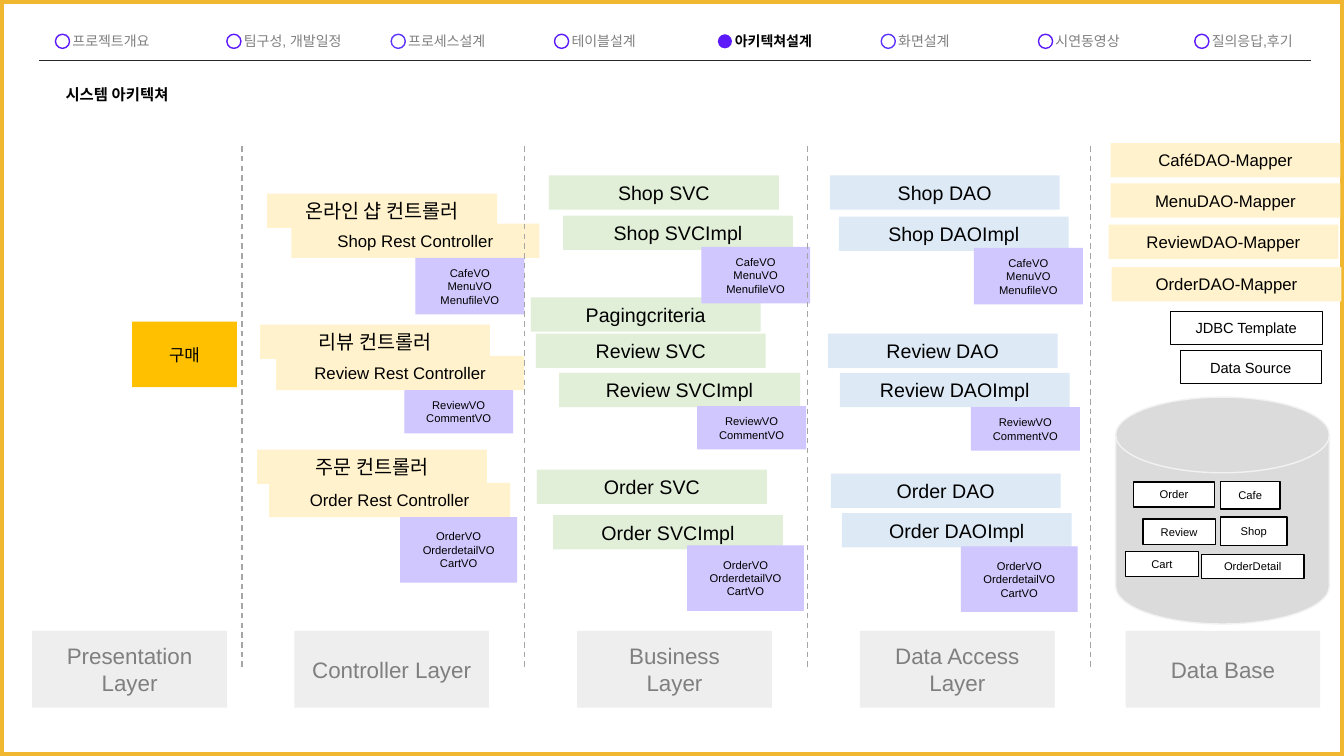
from dataclasses import dataclass
from typing import NamedTuple

from lxml import etree
from pptx import Presentation
from pptx.dml.color import RGBColor
from pptx.enum import dml, shapes, text
from pptx.oxml.ns import qn
from pptx.util import Inches, Pt


@dataclass(frozen=True)
class Theme:
    font: str = "Arial"
    black: str = "000000"
    white: str = "FFFFFF"
    gray: str = "7F7F7F"
    rule: str = "25282A"
    dash: str = "A5A5A5"
    frame: str = "F1B731"
    violet: str = "5C19FA"
    indigo: str = "5C34FA"
    amber: str = "FFC000"
    cream: str = "FFF2CC"
    green: str = "E1EFD8"
    blue: str = "DDEAF6"
    lilac: str = "CFC7FD"
    caption: str = "EEEEEE"
    disk: str = "DBDBDB"
    disk_edge: str = "F2F2F2"
    caption_size: float = 16
    card_size: float = 14
    small_card_size: float = 12
    title_size: float = 11
    source_size: float = 10.5
    nav_size: float = 10
    tiny_size: float = 8


class Box(NamedTuple):
    x: float
    y: float
    w: float
    h: float

    def inner(self, dx, dy, w, h):
        return Box(self.x + dx, self.y + dy, w, h)

    def emu(self):
        return [Inches(v) for v in self]


T = Theme()
SHAPE = shapes.MSO_SHAPE
CARD_W, CARD_H = 2.28, 0.34

# Value objects of each domain: width, height, class names
VALUE_OBJECTS = {
    "shop": (1.08, 0.56, "CafeVO\nMenuVO\nMenufileVO"),
    "review": (1.08, 0.43, "ReviewVO\nCommentVO"),
    "order": (1.16, 0.65, "OrderVO\nOrderdetailVO\nCartVO"),
}


def rgb(color):
    return RGBColor.from_string(color)


def write(tf, words, size, color, bold=False, align=text.PP_ALIGN.LEFT):
    tf.text = words
    tf.word_wrap = True
    for p in tf.paragraphs:
        p.alignment = align
        for r in p.runs:
            r.font.name, r.font.size, r.font.bold = T.font, Pt(size), bold
            r.font.color.rgb = rgb(color)


def add_box(s, box, words="", fill=None, size=T.card_size, color=T.black,
            line=None, line_width=1, kind=SHAPE.RECTANGLE):
    sp = s.shapes.add_shape(kind, *box.emu())
    sp.shadow.inherit = False
    if fill:
        sp.fill.solid()
        sp.fill.fore_color.rgb = rgb(fill)
    else:
        sp.fill.background()
    if line:
        sp.line.color.rgb = rgb(line)
        sp.line.width = Pt(line_width)
    else:
        sp.line.fill.background()
    if words:
        write(sp.text_frame, words, size, color, align=text.PP_ALIGN.CENTER)
        sp.text_frame.vertical_anchor = text.MSO_ANCHOR.MIDDLE


def add_line(s, x1, y1, x2, y2, color, dashed=False):
    c = s.shapes.add_connector(shapes.MSO_CONNECTOR.STRAIGHT,
                               *[Inches(v) for v in (x1, y1, x2, y2)])
    c.line.color.rgb = rgb(color)
    c.line.width = Pt(1)
    if dashed:
        c.line.dash_style = dml.MSO_LINE.DASH
    etree.SubElement(c._element.spPr, qn("a:effectLst"))


def add_title(s, box):
    sp = s.shapes.title
    sp.left, sp.top, sp.width, sp.height = box.emu()
    tf = sp.text_frame
    write(tf, "시스템 아키텍쳐", T.title_size, T.black, bold=True)
    tf.auto_size = text.MSO_AUTO_SIZE.NONE
    tf.vertical_anchor = text.MSO_ANCHOR.TOP


def add_navigation(s, box):
    steps = [(0.16, "프로젝트개요", T.violet), (1.86, "팀구성, 개발일정", T.violet),
             (3.49, "프로세스설계", T.indigo), (5.11, "테이블설계", T.violet),
             (6.73, "아키텍쳐설계", T.violet), (8.35, "화면설계", T.indigo),
             (9.91, "시연동영상", T.violet), (11.46, "질의응답,후기", T.violet)]
    for dx, label, color in steps:
        active = label == "아키텍쳐설계"
        add_box(s, box.inner(dx, 0.07, 0.14, 0.14), kind=SHAPE.OVAL,
                fill=color if active else None, line=None if active else color)
        tb = s.shapes.add_textbox(*box.inner(dx + 0.07, 0, 1.31, 0.27).emu())
        write(tb.text_frame, label, T.nav_size, T.black if active else T.gray, active)
    bottom = box.y + box.h
    add_line(s, box.x, bottom, box.x + box.w, bottom, T.rule)


def add_layer(s, box, caption, caption_dx=0.52, divider=True):
    if divider:
        add_line(s, box.x, box.y, box.x, box.y + 5.19, T.dash, dashed=True)
    add_box(s, box.inner(caption_dx, 4.81, 1.93, 0.76), caption, T.caption,
            T.caption_size, T.gray)


def add_cards(s, box, fill, cards, value_objects=(), size=T.card_size):
    for words, dx, dy, *width in cards:
        add_box(s, box.inner(dx, dy, width[0] if width else CARD_W, CARD_H),
                words, fill, size)
    for domain, dx, dy in value_objects:
        w, h, words = VALUE_OBJECTS[domain]
        add_box(s, box.inner(dx, dy, w, h), words, T.lilac, T.tiny_size)


def add_presentation(s, box):
    add_layer(s, box, "Presentation Layer", 0.32, divider=False)
    add_box(s, box.inner(1.31, 1.74, 1.04, 0.65), "구매", T.amber, T.small_card_size)


def add_controller(s, box):
    add_layer(s, box, "Controller Layer")
    add_cards(s, box, T.cream, [("온라인 샵 컨트롤러", 0.25, 0.47),
                                ("리뷰 컨트롤러", 0.18, 1.77),
                                ("주문 컨트롤러", 0.15, 3.01)])
    add_cards(s, box, T.cream, [("Shop Rest Controller", 0.49, 0.77, 2.46),
                                ("Review Rest Controller", 0.34, 2.08, 2.46),
                                ("Order Rest Controller", 0.27, 3.34, 2.39)],
              [("shop", 1.72, 1.11), ("review", 1.61, 2.42), ("order", 1.57, 3.68)],
              T.small_card_size)


def add_business(s, box):
    add_layer(s, box, "Business\nLayer")
    add_cards(s, box, T.green,
              [("Shop SVC", 0.24, 0.29), ("Shop SVCImpl", 0.38, 0.69),
               ("Pagingcriteria", 0.06, 1.5),
               ("Review SVC", 0.11, 1.86), ("Review SVCImpl", 0.34, 2.25, 2.39),
               ("Order SVC", 0.12, 3.21), ("Order SVCImpl", 0.28, 3.66)],
              [("shop", 1.75, 1), ("review", 1.71, 2.58), ("order", 1.61, 3.96)])


def add_data_access(s, box):
    add_layer(s, box, "Data Access Layer")
    add_cards(s, box, T.blue,
              [("Shop DAO", 0.22, 0.29), ("Shop DAOImpl", 0.31, 0.7),
               ("Review DAO", 0.2, 1.86), ("Review DAOImpl", 0.32, 2.25),
               ("Order DAO", 0.23, 3.25), ("Order DAOImpl", 0.34, 3.64)],
              [("shop", 1.65, 1.01), ("review", 1.62, 2.59), ("order", 1.52, 3.97)])


def add_database(s, box):
    add_layer(s, box, "Data Base", 0.35)
    add_cards(s, box, T.cream,
              [("CaféDAO-Mapper", 0.2, -0.03), ("MenuDAO-Mapper", 0.2, 0.37),
               ("ReviewDAO-Mapper", 0.18, 0.78), ("OrderDAO-Mapper", 0.21, 1.2)],
              size=T.small_card_size)
    for words, dx, dy, w in [("JDBC Template", 0.79, 1.64, 1.51),
                             ("Data Source", 0.89, 2.03, 1.4)]:
        add_box(s, box.inner(dx, dy, w, 0.33), words, T.white, T.source_size,
                line=T.black, line_width=0.75)
    # Storage disk with its tables
    add_box(s, box.inner(0.25, 2.49, 2.12, 2.25), fill=T.disk, line=T.disk_edge,
            kind=SHAPE.FLOWCHART_MAGNETIC_DISK)
    for words, *place in [("Order", 0.43, 3.33, 0.8, 0.25), ("Cafe", 1.29, 3.33, 0.59, 0.27),
                          ("Review", 0.52, 3.7, 0.72, 0.25), ("Shop", 1.29, 3.68, 0.66, 0.28),
                          ("Cart", 0.35, 4.02, 0.72, 0.25),
                          ("OrderDetail", 1.1, 4.05, 1.02, 0.24)]:
        add_box(s, box.inner(*place), words, T.white, T.tiny_size, line=T.black)


def main():
    prs = Presentation()
    prs.slide_width, prs.slide_height = Inches(13.33), Inches(7.5)
    s = prs.slides.add_slide(prs.slide_layouts[5])
    # Frame, title and navigation
    add_box(s, Box(0, 0, 13.33, 7.5), line=T.frame, line_width=6)
    add_title(s, Box(0.55, 0.79, 1.23, 0.47))
    add_navigation(s, Box(0.39, 0.27, 12.61, 0.33))
    # Architecture layers, left to right
    top, height, first, pitch = 1.45, 5.57, 2.4, 2.805
    add_presentation(s, Box(0, top, first, height))
    layers = [add_controller, add_business, add_data_access, add_database]
    for i, layer in enumerate(layers):
        layer(s, Box(first + i * pitch, top, pitch, height))
    prs.save("out.pptx")


if __name__ == "__main__":
    main()
